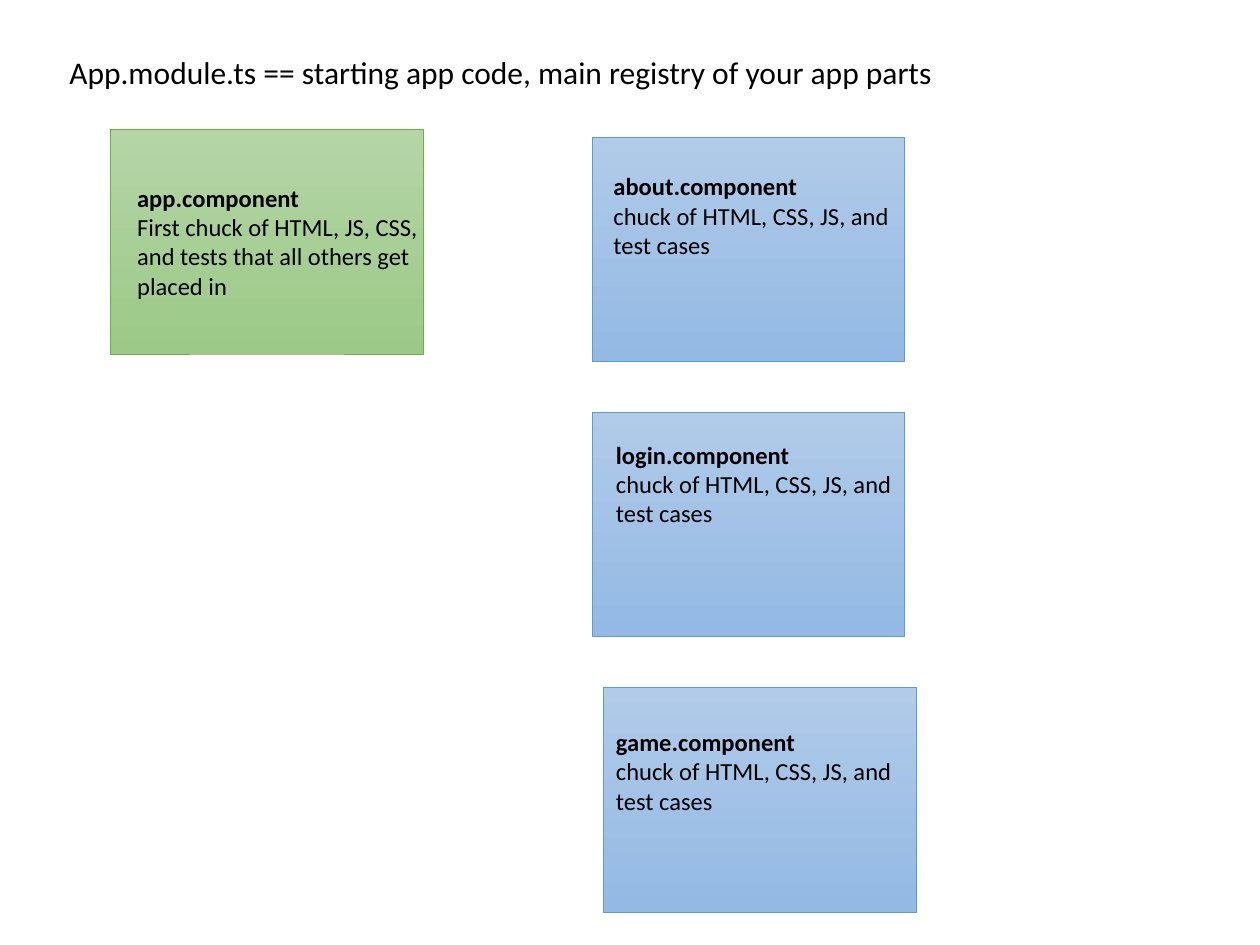
from pptx import Presentation
from pptx.dml.color import RGBColor as RGB
from pptx.enum.shapes import MSO_SHAPE as Shape
from pptx.enum.text import MSO_ANCHOR as Anchor, MSO_AUTO_SIZE as Fit, PP_ALIGN as Align
from pptx.util import Inches, Pt

BLACK = RGB(0x00, 0x00, 0x00)
GREEN = (RGB(0xB5, 0xD5, 0xA7), RGB(0x9C, 0xC9, 0x87), RGB(0x70, 0xAD, 0x47))
BLUE = (RGB(0xB1, 0xCB, 0xE9), RGB(0x93, 0xB9, 0xE4), RGB(0x5B, 0x9B, 0xD5))
WIDE, HIGH = 2.48, 1.78
CHUCK = "chuck of HTML, CSS, JS, and test cases"
FIRST = "First chuck of HTML, JS, CSS, and tests that all others get placed in"


def write(para, text, size=14, bold=False):
    para.alignment = Align.LEFT
    run = para.add_run()
    run.text = text
    font = run.font
    font.name, font.size, font.bold = "Calibri", Pt(size), bold
    font.color.rgb = BLACK


deck = Presentation()
deck.slide_width, deck.slide_height = Inches(10), Inches(7.5)
slide = deck.slides.add_slide(deck.slide_layouts[5])

title = slide.shapes.title
title.left, title.top = Inches(0.45), Inches(0.37)
title.width, title.height = Inches(7.38), Inches(0.4)
frame = title.text_frame
frame.auto_size = Fit.NONE
frame.vertical_anchor = Anchor.TOP
write(frame.paragraphs[0], "App.module.ts == starting app code, main registry of your app parts", size=18)

parts = [
    ("app", FIRST, GREEN, (0.88, 1.03), (0.99, 1.4), 1.04),
    ("about", CHUCK, BLUE, (4.7, 1.09), (4.77, 1.31), 0.81),
    ("login", CHUCK, BLUE, (4.7, 3.27), (4.79, 3.44), 0.81),
    ("game", CHUCK, BLUE, (4.79, 5.46), (4.79, 5.72), 0.81),
]
for name, body, (light, dark, edge), (left, top), (x, y), tall in parts:
    card = slide.shapes.add_shape(
        Shape.RECTANGLE, Inches(left), Inches(top), Inches(WIDE), Inches(HIGH))
    card.shadow.inherit = False
    card.fill.gradient()
    card.fill.gradient_angle = 270
    for stop, color, place in zip(card.fill.gradient_stops, (light, dark), (0, 1)):
        stop.color.rgb = color
        stop.position = place
    card.line.color.rgb = edge
    card.line.width = Pt(0.5)

    label = slide.shapes.add_textbox(Inches(x), Inches(y), Inches(WIDE), Inches(tall))
    frame = label.text_frame
    frame.word_wrap = True
    frame.auto_size = Fit.SHAPE_TO_FIT_TEXT
    write(frame.paragraphs[0], f"{name}.component", bold=True)
    write(frame.add_paragraph(), body)

deck.save("out.pptx")
